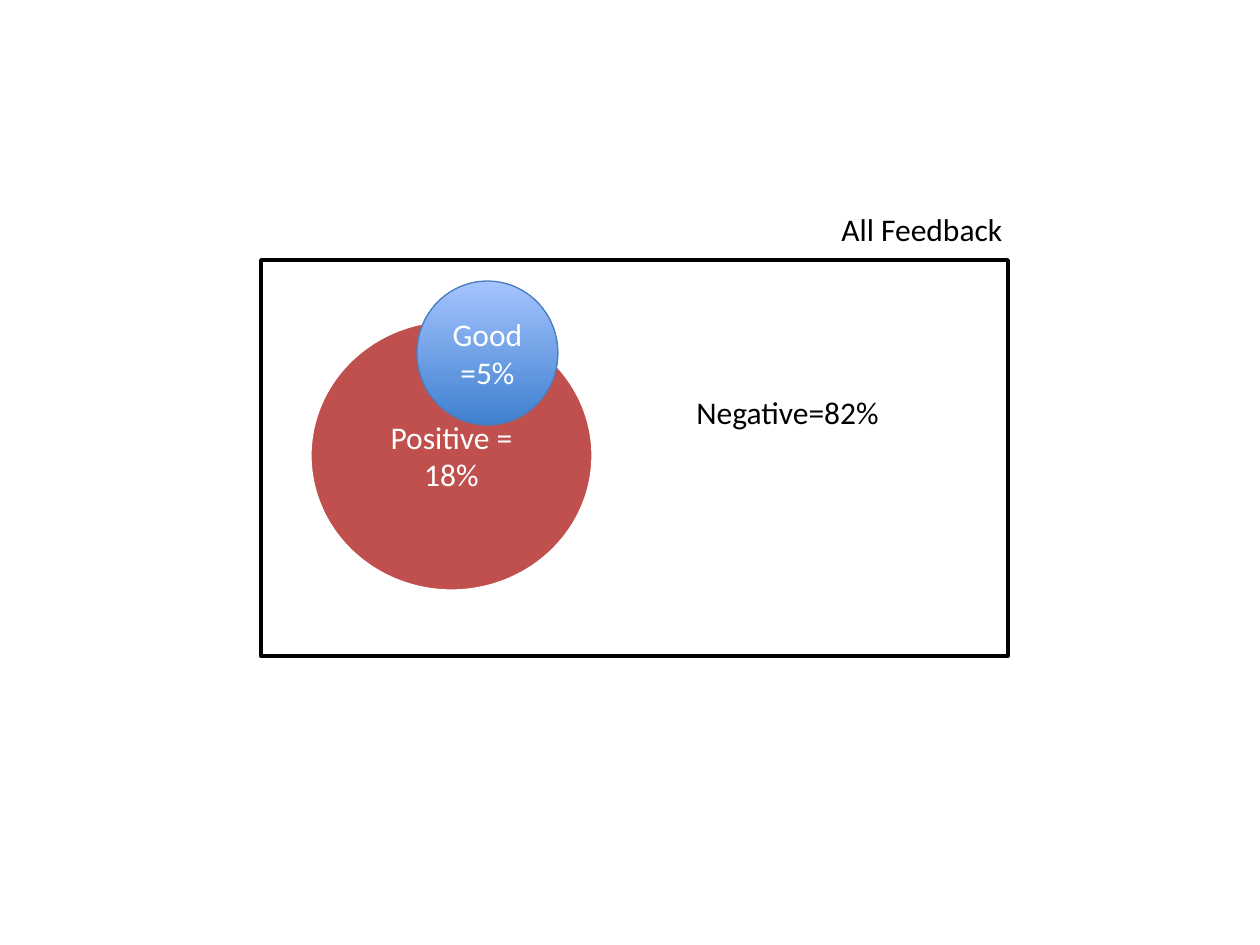
from dataclasses import dataclass

import pptx
import pptx.dml.color
import pptx.enum.shapes
import pptx.enum.text
import pptx.util

PX = pptx.util.Inches(1) / 126
RGB = pptx.dml.color.RGBColor
SHAPE = pptx.enum.shapes.MSO_SHAPE
BLACK = RGB(0x00, 0x00, 0x00)
WHITE = RGB(0xFF, 0xFF, 0xFF)
RED = RGB(0xC0, 0x50, 0x4D)
BLUE = RGB(0x3F, 0x80, 0xCE)
PALE_BLUE = RGB(0xA4, 0xC4, 0xFF)
BLUE_EDGE = RGB(0x4B, 0x7E, 0xBC)


@dataclass
class Box:
    left: int
    top: int
    width: int
    height: int

    def emu(self) -> list[int]:
        return [round(v * PX) for v in (self.left, self.top, self.width, self.height)]


@dataclass
class Region:
    """A set in the Venn diagram; two fills make a gradient from bottom to top."""
    box: Box
    kind: pptx.enum.shapes.MSO_SHAPE
    fills: tuple[RGB, ...]
    edge: RGB
    edge_pt: float
    text: str = ""


@dataclass
class Label:
    box: Box
    text: str


REGIONS = [
    Region(Box(261, 260, 747, 396), SHAPE.RECTANGLE, (WHITE,), BLACK, 2),
    Region(Box(309, 319, 285, 273), SHAPE.OVAL, (RED,), WHITE, 3, "Positive = 18%"),
    Region(Box(417, 281, 141, 144), SHAPE.OVAL, (BLUE, PALE_BLUE), BLUE_EDGE, 0.75, "Good=5%"),
]
LABELS = [
    Label(Box(829, 204, 223, 50), "All Feedback"),
    Label(Box(684, 387, 296, 89), "Negative=82%"),
]


def write(tf, text: str, color: RGB) -> None:
    tf.word_wrap = True
    r = tf.paragraphs[0].add_run()
    r.text = text
    for name, value in {"name": "Calibri", "size": pptx.util.Pt(18)}.items():
        setattr(r.font, name, value)
    r.font.color.rgb = color


def draw_region(s, region: Region) -> None:
    sp = s.shapes.add_shape(region.kind, *region.box.emu())
    sp.shadow.inherit = False
    if len(region.fills) == 1:
        sp.fill.solid()
        sp.fill.fore_color.rgb = region.fills[0]
    else:
        sp.fill.gradient()
        sp.fill.gradient_angle = 90
        for stop, color in zip(sp.fill.gradient_stops, region.fills):
            stop.color.rgb = color
    sp.line.color.rgb = region.edge
    sp.line.width = pptx.util.Pt(region.edge_pt)
    if region.text:
        tf = sp.text_frame
        tf.vertical_anchor = pptx.enum.text.MSO_ANCHOR.MIDDLE
        write(tf, region.text, WHITE)
        tf.paragraphs[0].alignment = pptx.enum.text.PP_ALIGN.CENTER


def draw_label(s, label: Label) -> None:
    write(s.shapes.add_textbox(*label.box.emu()).text_frame, label.text, BLACK)


def main() -> None:
    prs = pptx.Presentation()
    prs.slide_width = pptx.util.Inches(10)
    prs.slide_height = pptx.util.Inches(7.5)
    s = prs.slides.add_slide(prs.slide_layouts[6])
    for region in REGIONS:
        draw_region(s, region)
    for label in LABELS:
        draw_label(s, label)
    prs.save("out.pptx")


if __name__ == "__main__":
    main()
